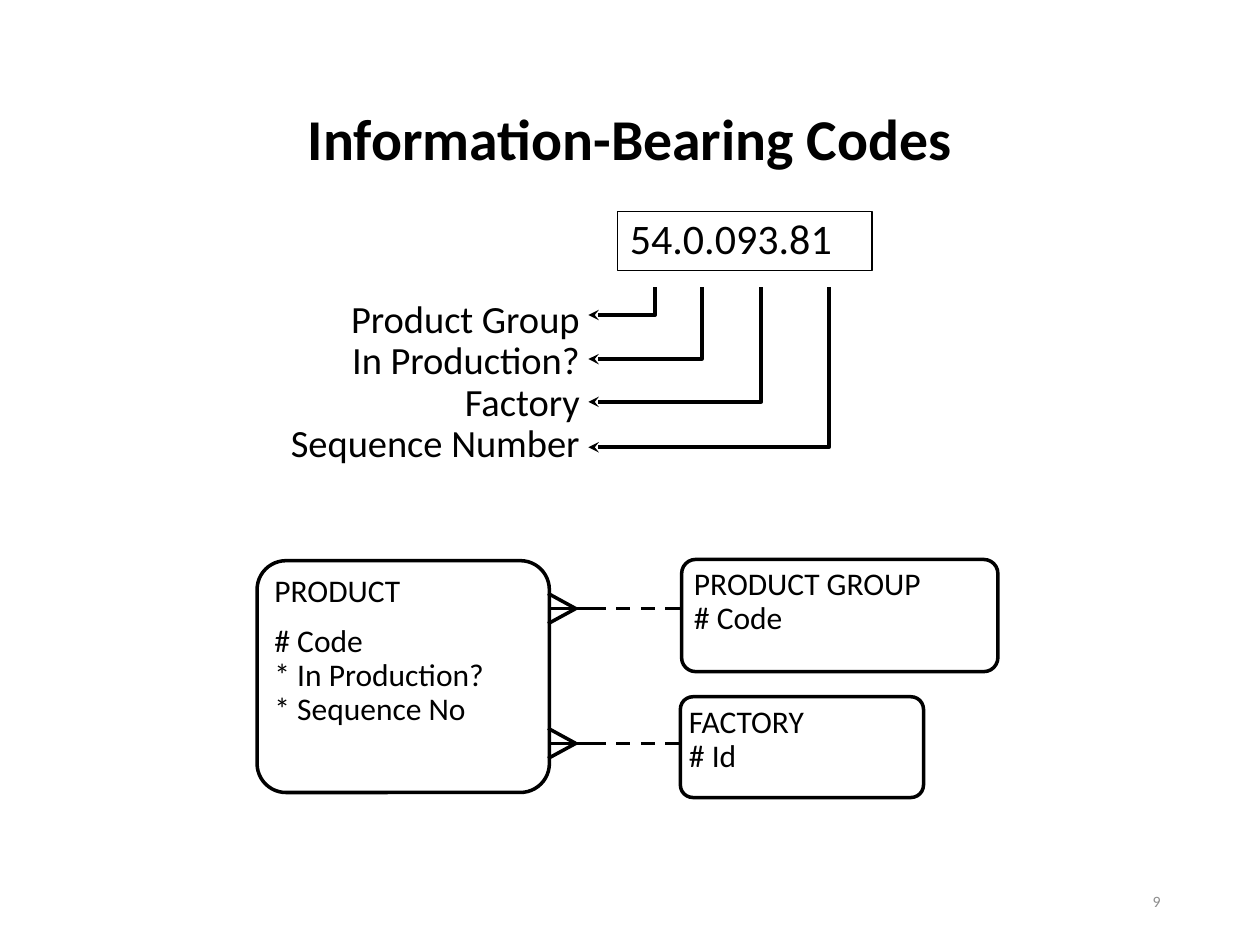
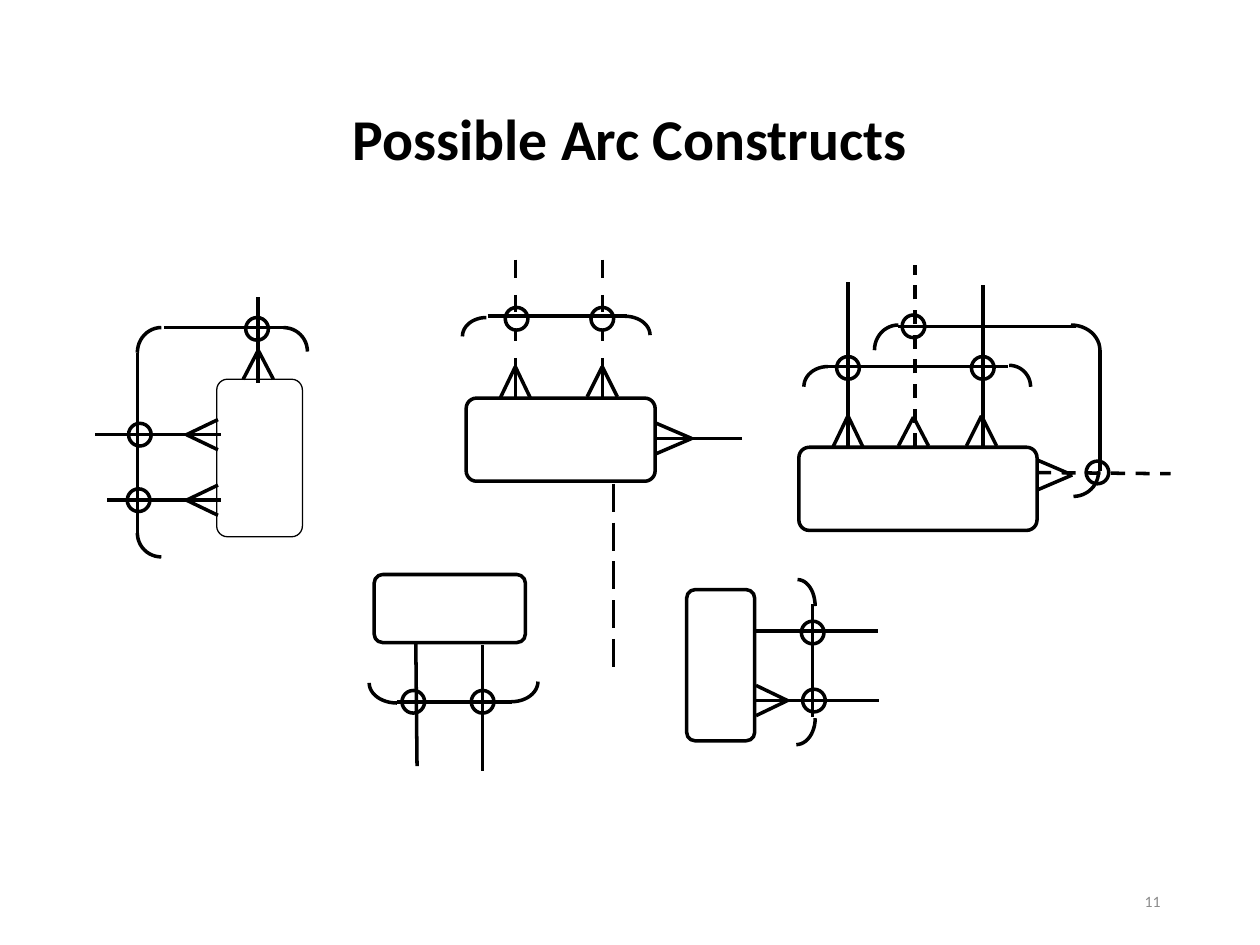
from dataclasses import dataclass
from math import cos, pi, sin

from lxml import etree
from pptx import Presentation
from pptx.dml.color import RGBColor
from pptx.enum.dml import MSO_LINE
from pptx.enum.shapes import MSO_CONNECTOR, MSO_SHAPE
from pptx.enum.text import MSO_ANCHOR, PP_ALIGN
from pptx.oxml.ns import qn
from pptx.util import Inches, Pt


@dataclass(frozen=True)
class Theme:
    font: str = "Calibri"
    ink: RGBColor = RGBColor(0, 0, 0)
    muted: RGBColor = RGBColor(0x8C, 0x8C, 0x8C)
    title: int = 33
    code: int = 24
    label: int = 22
    entity: int = 18
    number: int = 9
    stroke: float = 2
    hairline: float = 0.75
    spacing: float = 0.9
    corner: float = 0.125
    toe: float = 0.12      # half the width of a crow's foot
    ring: float = 0.18     # diameter of an arc marker


THEME = Theme()
DASH, LONG_DASH = MSO_LINE.DASH, MSO_LINE.LONG_DASH

# ---- Content: information-bearing codes ----
CODE = ("54.0.093.81", (4.9, 1.68, 2.02, 0.47))
CODE_PARTS = ["Product Group", "In Production?", "Factory", "Sequence Number"]
CODE_PARTS_BOX = (1.52, 2.33, 3.18, 1.42)
ARROW_TOP, ARROW_TIP = 2.28, 4.67
ARROW_CORNERS = [(5.2, 2.5), (5.57, 2.85), (6.04, 3.19), (6.58, 3.55)]
# entity outline, text box, paragraphs made of lines
ENTITIES = [
    ((2.04, 4.45, 2.32, 1.84), (2.08, 4.52, 2.29, 1.34),
     [["PRODUCT"], ["# Code", "* In Production?", "* Sequence No"]]),
    ((5.41, 4.44, 2.51, 0.89), (5.41, 4.46, 2.76, 0.91),
     [["PRODUCT GROUP", "# Code"]]),
    ((5.4, 5.53, 1.93, 0.8), (5.37, 5.56, 2.76, 0.64),
     [["FACTORY", "# Id"]]),
]
RELATION_ROWS = [4.83, 5.9]

# ---- Content: arc constructs ----
# lines: x1, y1, x2, y2 (and dash); feet: base x, y and reach x, y;
# rings: centre; arcs: the end that runs vertically, then the horizontal one
BROKEN_STEMS = [(x, top, x, bottom) for x in (4.09, 4.78) for top, bottom in
                [(2.06, 2.21), (2.34, 2.48), (2.61, 2.71), (2.84, 3.17)]]
CONSTRUCTS = [
    dict(entity=(1.72, 3.01, 0.68, 1.25), stroke=THEME.hairline,
         lines=[(1.09, 4.24, 1.09, 2.8), (2.05, 2.36, 2.05, 3.04),
                (1.75, 3.45, 0.75, 3.45), (1.75, 3.97, 0.85, 3.97),
                (1.3, 2.6, 2.26, 2.6)],
         feet=[(1.73, 3.97, -0.25, 0), (1.73, 3.45, -0.25, 0),
               (2.05, 3.01, 0, -0.23)],
         rings=[(1.1, 3.97), (1.11, 3.45), (2.04, 2.61)],
         arcs=[(1.09, 2.8, 1.28, 2.6), (2.44, 2.79, 2.25, 2.6),
               (1.09, 4.23, 1.28, 4.42)]),
    dict(entity=(3.7, 3.16, 1.5, 0.66),
         lines=[*BROKEN_STEMS, (3.87, 2.51, 4.98, 2.51),
                (5.89, 3.48, 5.2, 3.48), (4.87, 3.84, 4.87, 5.31, LONG_DASH)],
         feet=[(4.09, 3.16, 0, -0.25), (4.78, 3.15, 0, -0.24),
               (5.21, 3.48, 0.28, 0)],
         rings=[(4.1, 2.53), (4.78, 2.53)],
         arcs=[(3.67, 2.67, 3.86, 2.52), (5.16, 2.66, 4.96, 2.51)]),
    dict(entity=(6.34, 3.55, 1.89, 0.66),
         lines=[(6.56, 2.91, 8, 2.91), (7.13, 2.59, 8.54, 2.59),
                (6.73, 3.54, 6.73, 2.24), (7.8, 3.56, 7.8, 2.26),
                (8.73, 2.78, 8.73, 3.74), (7.26, 3.55, 7.26, 2.1, DASH),
                (8.23, 3.75, 9.29, 3.76, DASH)],
         feet=[(6.73, 3.55, 0, -0.25), (7.25, 3.54, 0, -0.23),
               (7.79, 3.54, 0, -0.24), (8.23, 3.77, 0.28, 0)],
         rings=[(6.73, 2.92), (7.8, 2.92), (7.25, 2.59), (8.71, 3.75)],
         arcs=[(6.38, 3.07, 6.57, 2.91), (8.18, 3.07, 8.01, 2.9),
               (6.94, 2.78, 7.13, 2.58), (8.73, 2.78, 8.5, 2.58),
               (8.72, 3.74, 8.52, 3.94)]),
    dict(entity=(2.97, 4.56, 1.2, 0.54),
         lines=[(3.15, 5.57, 4.06, 5.57), (3.83, 5.12, 3.83, 6.12),
                (3.3, 5.11, 3.31, 6.08)],
         feet=[],
         rings=[(3.28, 5.57), (3.83, 5.57)],
         arcs=[(2.93, 5.42, 3.15, 5.58), (4.27, 5.41, 4.06, 5.57)]),
    dict(entity=(5.45, 4.68, 0.54, 1.2),
         lines=[(6.45, 5.69, 6.45, 4.79), (5.98, 5.01, 6.97, 5.01),
                (5.99, 5.56, 6.98, 5.56)],
         feet=[(6, 5.56, 0.25, 0)],
         rings=[(6.46, 5.56), (6.45, 5.02)],
         arcs=[(6.47, 4.81, 6.33, 4.6), (6.47, 5.7, 6.32, 5.91)]),
]


# ---- Drawing helpers; "canvas" is the shapes of a slide or a group ----
def inches(*lengths):
    return [Inches(length) for length in lengths]


def ink(line, stroke=THEME.stroke):
    line.color.rgb = THEME.ink
    line.width = Pt(stroke)


def add_outline(canvas, kind, box, stroke=THEME.stroke):
    outline = canvas.add_shape(kind, *inches(*box))
    outline.shadow.inherit = False
    outline.fill.background()
    ink(outline.line, stroke)
    if kind == MSO_SHAPE.ROUNDED_RECTANGLE:
        outline.adjustments[0] = THEME.corner
    return outline


def add_line(canvas, x1, y1, x2, y2, dash=None):
    line = canvas.add_connector(MSO_CONNECTOR.STRAIGHT, *inches(x1, y1, x2, y2))
    etree.SubElement(line._element.spPr, qn("a:effectLst"))
    ink(line.line)
    if dash:
        line.line.dash_style = dash


def add_polyline(canvas, points):
    start, *others = [inches(*point) for point in points]
    builder = canvas.build_freeform(*start)
    builder.add_line_segments(others, close=False)
    polyline = builder.convert_to_shape()
    polyline.shadow.inherit = False
    polyline.fill.background()
    ink(polyline.line)
    return polyline


def add_arc(canvas, x1, y1, x2, y2, steps=12):
    """Quarter ellipse, vertical at its first end and horizontal at its second."""
    angles = [pi / 2 * step / steps for step in range(steps + 1)]
    add_polyline(canvas, [(x2 + (x1 - x2) * cos(a), y1 + (y2 - y1) * sin(a))
                          for a in angles])


def add_crows_foot(canvas, x, y, reach_x, reach_y):
    for side in (-THEME.toe, THEME.toe):
        toe = (x, y + side) if reach_x else (x + side, y)
        add_line(canvas, *toe, x + reach_x, y + reach_y)


def write(shape, paragraphs, size, align=PP_ALIGN.LEFT, bold=False,
          color=THEME.ink, anchor=MSO_ANCHOR.TOP, spacing=THEME.spacing):
    frame = shape.text_frame
    frame.word_wrap = True
    frame.vertical_anchor = anchor
    for index, lines in enumerate(paragraphs):
        paragraph = frame.add_paragraph() if index else frame.paragraphs[0]
        paragraph.text = "\v".join(lines)
        paragraph.alignment = align
        paragraph.line_spacing = spacing
        if index:
            paragraph.space_before = Pt(size / 2)
        paragraph.font.name = THEME.font
        paragraph.font.size = Pt(size)
        paragraph.font.bold = bold
        paragraph.font.color.rgb = color


def add_text(canvas, box, paragraphs, size, **style):
    write(canvas.add_textbox(*inches(*box)), paragraphs, size, **style)


def add_slide(deck, title, number):
    canvas = deck.slides.add_slide(deck.slide_layouts[6]).shapes
    add_text(canvas, (0.69, 0.4, 8.62, 1.45), [[title]], THEME.title, bold=True,
             align=PP_ALIGN.CENTER, anchor=MSO_ANCHOR.MIDDLE)
    add_text(canvas, (7.06, 6.95, 2.25, 0.4), [[str(number)]], THEME.number,
             align=PP_ALIGN.RIGHT, color=THEME.muted,
             anchor=MSO_ANCHOR.MIDDLE, spacing=1.0)
    return canvas


# ---- Slides ----
def build_codes(deck):
    canvas = add_slide(deck, "Information-Bearing Codes", 9)

    # Code and the meaning of its parts
    code, code_box = CODE
    write(add_outline(canvas, MSO_SHAPE.RECTANGLE, code_box, THEME.hairline),
          [[code]], THEME.code)
    add_text(canvas, CODE_PARTS_BOX, [CODE_PARTS], THEME.label,
             align=PP_ALIGN.RIGHT)
    for x, y in ARROW_CORNERS:
        arrow = add_polyline(canvas, [(x, ARROW_TOP), (x, y), (ARROW_TIP, y)])
        etree.SubElement(arrow.line._get_or_add_ln(), qn("a:tailEnd"),
                         type="stealth")

    # Entities and their relations
    for outline, text_box, paragraphs in ENTITIES:
        add_outline(canvas, MSO_SHAPE.ROUNDED_RECTANGLE, outline)
        add_text(canvas, text_box, paragraphs, THEME.entity)
    for y in RELATION_ROWS:
        add_crows_foot(canvas, 4.35, y, 0.22, 0)
        add_line(canvas, 4.36, y, 4.81, y)
        add_line(canvas, 4.89, y, 5.43, y, DASH)


def build_arcs(deck):
    canvas = add_slide(deck, "Possible Arc Constructs", 11)
    for construct in CONSTRUCTS:
        group = canvas.add_group_shape().shapes
        for arc in construct["arcs"]:
            add_arc(group, *arc)
        add_outline(group, MSO_SHAPE.ROUNDED_RECTANGLE, construct["entity"],
                    construct.get("stroke", THEME.stroke))
        for line in construct["lines"]:
            add_line(group, *line)
        for foot in construct["feet"]:
            add_crows_foot(group, *foot)
        for x, y in construct["rings"]:
            add_outline(group, MSO_SHAPE.OVAL, (x - THEME.ring / 2,
                        y - THEME.ring / 2, THEME.ring, THEME.ring))


deck = Presentation()
deck.slide_width, deck.slide_height = inches(10, 7.5)
build_codes(deck)
build_arcs(deck)
deck.save("out.pptx")
